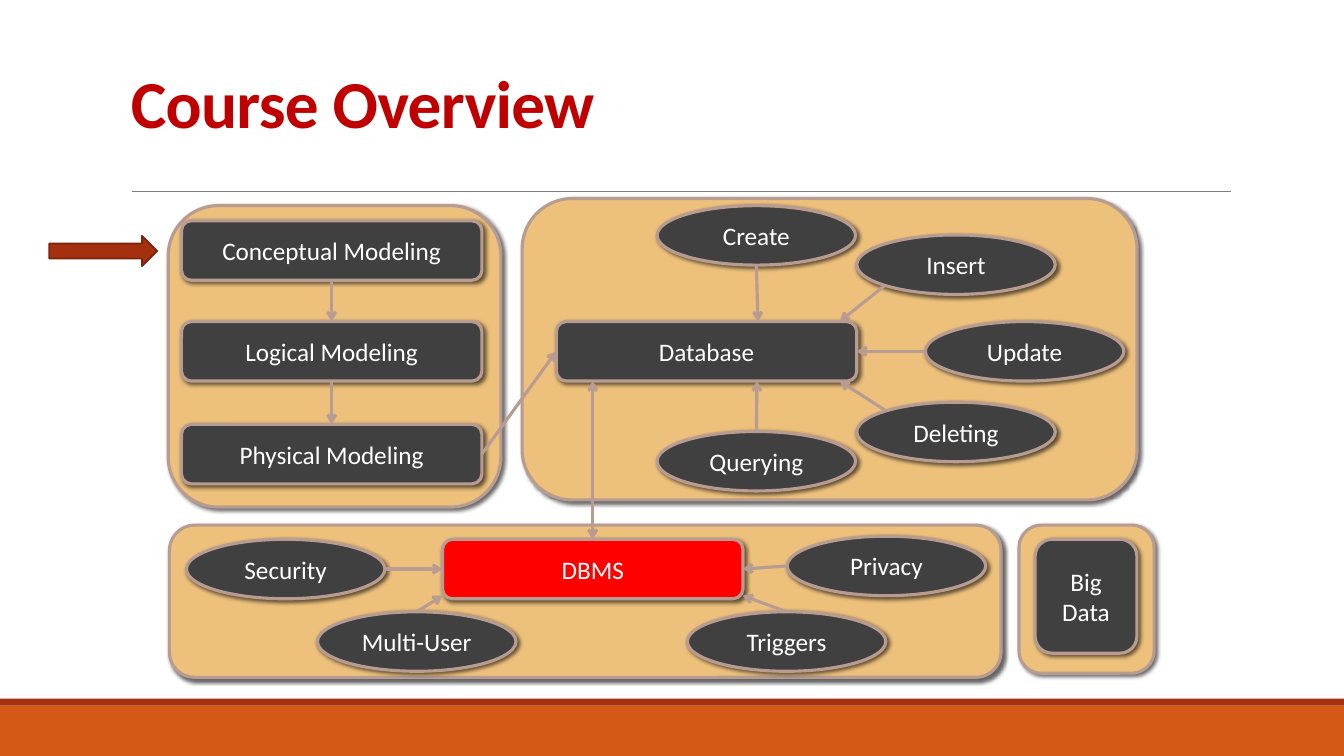
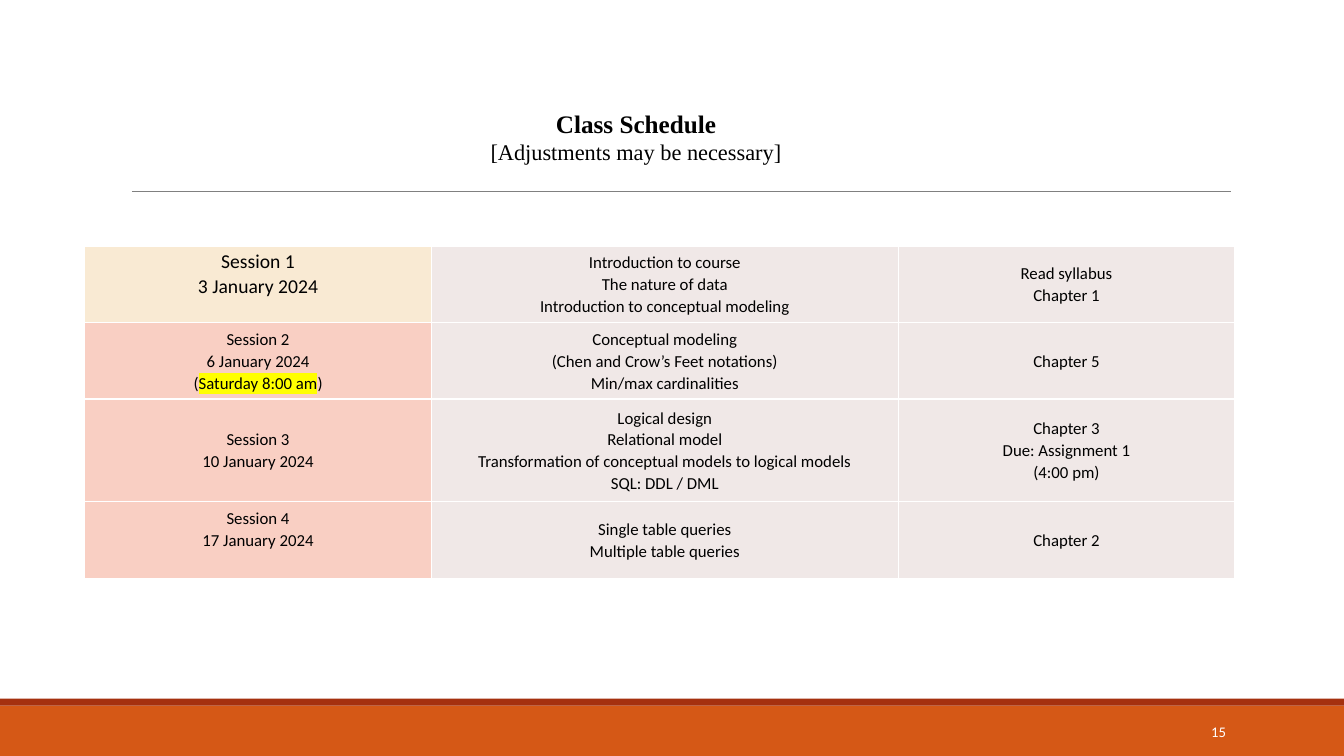
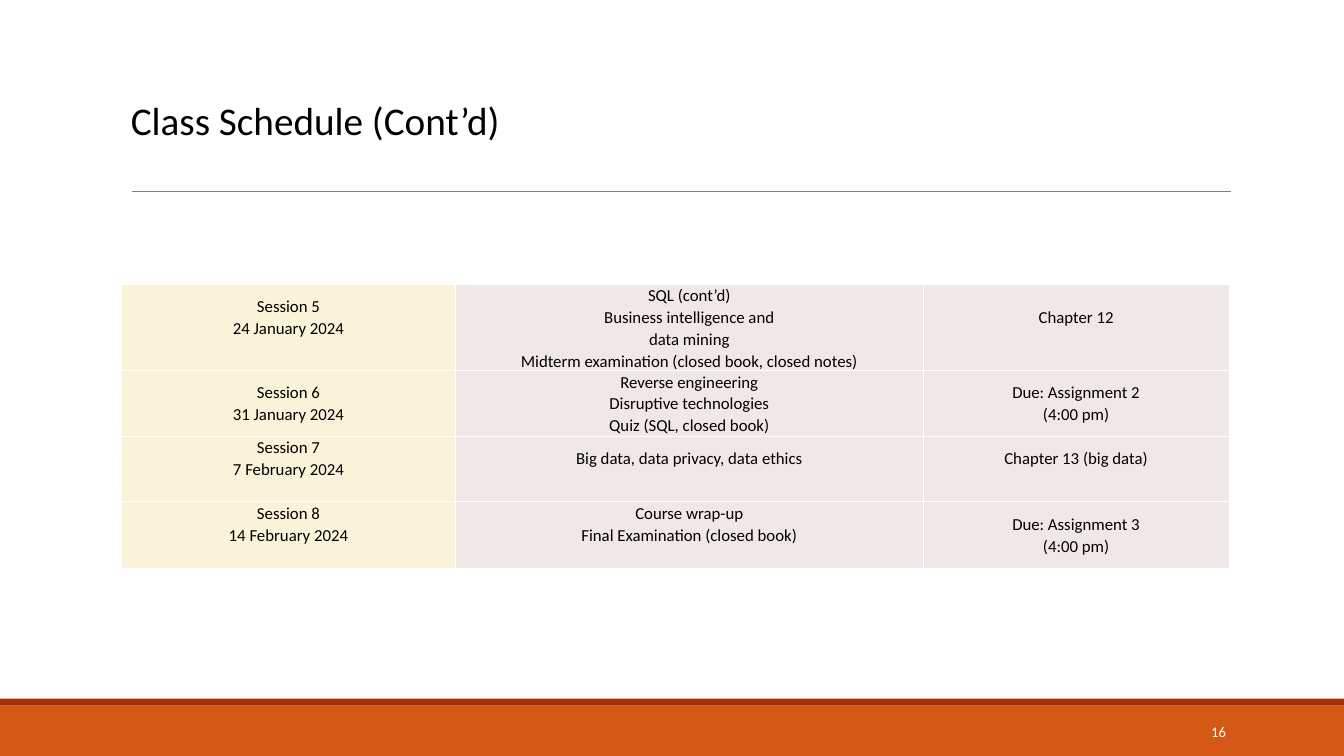
from dataclasses import dataclass
from typing import NamedTuple

from lxml import etree
from pptx import Presentation
from pptx.dml.color import RGBColor
from pptx.enum.shapes import MSO_CONNECTOR, MSO_SHAPE as SHAPE
from pptx.enum.text import MSO_ANCHOR as ANCHOR, PP_ALIGN as ALIGN
from pptx.oxml import parse_xml
from pptx.oxml.ns import nsdecls, qn
from pptx.util import Pt

COLORS = {
    "band": "D55816", "rust": "A5300F", "rust_edge": "7A240B", "rule": "808080",
    "title": "C00000", "panel": "EDC17C", "edge": "B89C91", "node": "404040",
    "focus": "FF0000", "white": "FFFFFF", "black": "000000", "plain": "F0E8E7",
    "cream": "F9EAD3", "salmon": "F9CFC3", "yellow": "FAF3D9", "marker": "FFFF00",
}
SANS, SERIF = "Calibri", "Times New Roman"
TOP, LEFT, BOTTOM, RIGHT = range(4)
BOX_W, OVAL_W, NODE_H = 214.6, 141.8, 42.5
LINE_H = 15.6  # one line of 12 pt table text


class Rect(NamedTuple):
    left: float
    top: float
    width: float
    height: float

    def emu(self):
        return [Pt(v) for v in self]


@dataclass
class Node:
    text: str
    rect: Rect
    kind: SHAPE = SHAPE.ROUNDED_RECTANGLE
    color: str = "node"


class Side(NamedTuple):
    node: str
    site: int


class Point(NamedTuple):
    x: float
    y: float


@dataclass
class Arrow:
    start: Side | Point
    end: Side | Point
    both_ways: bool = False


@dataclass
class Cell:
    text: str
    raised: bool = False
    size: float = 12
    marked: str = ""
    fill: str = "plain"


def box(text: str, left: float, top: float, color: str = "node") -> Node:
    return Node(text, Rect(left, top, BOX_W, NODE_H), color=color)


def oval(text: str, left: float, top: float) -> Node:
    return Node(text, Rect(left, top, OVAL_W, NODE_H), SHAPE.OVAL)


PANELS = [
    Rect(121, 375.1, 594, 108.7), Rect(373, 141.8, 439.2, 215.3),
    Rect(120.2, 146.9, 237.6, 215.3), Rect(727.9, 375.1, 96.5, 105.8),
]
NODES = [
    box("Conceptual Modeling", 129.6, 157.7),
    box("Logical Modeling", 129.6, 229.7),
    box("Physical Modeling", 129.6, 303.1),
    box("DBMS", 316.1, 385.2, "focus"),
    box("Database", 397.4, 229.7),
    oval("Create", 469.4, 146.9),
    oval("Insert", 612, 167.8),
    oval("Update", 661, 229.7),
    oval("Deleting", 612, 287.3),
    oval("Querying", 469.4, 308.2),
    oval("Security", 133.2, 385.2),
    oval("Privacy", 562.3, 383),
    oval("Triggers", 491, 437),
    oval("Multi-User", 226.8, 437),
    Node("Big Data", Rect(739.4, 385.2, 72.7, 81.4)),
]
ARROWS = [
    Arrow(Side("Conceptual Modeling", BOTTOM), Side("Logical Modeling", TOP)),
    Arrow(Side("Logical Modeling", BOTTOM), Side("Physical Modeling", TOP)),
    Arrow(Side("Physical Modeling", RIGHT), Side("Database", LEFT)),
    Arrow(Side("Create", BOTTOM), Point(541.4, 229.7)),
    Arrow(Point(632.2, 203.8), Point(599.8, 229.7)),
    Arrow(Side("Update", LEFT), Side("Database", RIGHT)),
    Arrow(Point(632.2, 293), Point(599.8, 272.2)),
    Arrow(Side("Querying", TOP), Point(540.7, 272.2)),
    Arrow(Side("Security", RIGHT), Side("DBMS", LEFT)),
    Arrow(Side("Multi-User", TOP), Point(316.1, 425.5)),
    Arrow(Side("Triggers", TOP), Point(530.6, 425.5)),
    Arrow(Side("Privacy", LEFT), Side("DBMS", RIGHT)),
    Arrow(Side("DBMS", TOP), Point(423.4, 272.2), both_ways=True),
]

SCHEDULE = [
    [Cell("Session 1\n3 January 2024", True, 14, fill="cream"),
     Cell("Introduction to course\nThe nature of data\nIntroduction to conceptual modeling"),
     Cell("Read syllabus\nChapter 1")],
    [Cell("Session 2\n6 January 2024\n(Saturday 8:00 am)", marked="Saturday 8:00 am", fill="salmon"),
     Cell("Conceptual modeling\n(Chen and Crow’s Feet notations)\nMin/max cardinalities"),
     Cell("Chapter 5")],
    [Cell("Session 3\n10 January 2024", fill="salmon"),
     Cell("Logical design\nRelational model\n"
          "Transformation of conceptual models to logical models\nSQL: DDL / DML"),
     Cell("Chapter 3\nDue: Assignment 1\n(4:00 pm)")],
    [Cell("Session 4\n17 January 2024", True, fill="salmon"),
     Cell("Single table queries\nMultiple table queries"),
     Cell("Chapter 2")],
]
SCHEDULE_CONT = [
    [Cell("Session 5\n24 January 2024", True, fill="yellow"),
     Cell("SQL (cont’d)\nBusiness intelligence and\ndata mining\n"
          "Midterm examination (closed book, closed notes)"),
     Cell("Chapter 12", True)],
    [Cell("Session 6\n31 January 2024", fill="yellow"),
     Cell("Reverse engineering\nDisruptive technologies\nQuiz (SQL, closed book)"),
     Cell("Due: Assignment 2\n(4:00 pm)")],
    [Cell("Session 7\n7 February 2024", True, fill="yellow"),
     Cell("Big data, data privacy, data ethics", True),
     Cell("Chapter 13 (big data)", True)],
    [Cell("Session 8\n14 February 2024", True, fill="yellow"),
     Cell("Course wrap-up\nFinal Examination (closed book)", True),
     Cell("Due: Assignment 3\n(4:00 pm)")],
]


def rgb(name: str) -> RGBColor:
    return RGBColor.from_string(COLORS[name])


def style_run(r, size: float, color: str = "black", font: str = SANS, bold: bool = False):
    r.font.size, r.font.name, r.font.bold = Pt(size), font, bold
    r.font.color.rgb = rgb(color)


def add_shape(s, kind, rect: Rect, fill: str, edge: str = "", weight: float = 0):
    sp = s.shapes.add_shape(kind, *rect.emu())
    sp.shadow.inherit = False
    sp.fill.solid()
    sp.fill.fore_color.rgb = rgb(fill)
    if edge:
        sp.line.color.rgb = rgb(edge)
        sp.line.width = Pt(weight)
    else:
        sp.line.fill.background()
    return sp


def add_raised(s, kind, rect: Rect, fill: str):
    """Draw an outlined shape with a soft shadow to the lower right."""
    sp = add_shape(s, kind, rect, fill, "edge", 2.25)
    effects = sp.element.spPr.find(qn("a:effectLst"))
    effects.append(parse_xml(
        f'<a:outerShdw {nsdecls("a")} blurRad="{Pt(3)}" dist="{Pt(2)}" dir="2700000" '
        f'algn="tl" rotWithShape="0"><a:srgbClr val="{COLORS["black"]}">'
        '<a:alpha val="60000"/></a:srgbClr></a:outerShdw>'))
    return sp


def add_node(s, node: Node):
    sp = add_raised(s, node.kind, node.rect, node.color)
    tf = sp.text_frame
    tf.text = node.text
    tf.word_wrap = True
    tf.vertical_anchor = ANCHOR.MIDDLE
    p = tf.paragraphs[0]
    p.alignment = ALIGN.CENTER
    style_run(p.runs[0], 18, "white")
    return sp


def add_line(s, start: Point, end: Point, color: str, weight: float):
    line = s.shapes.add_connector(
        MSO_CONNECTOR.STRAIGHT, Pt(start.x), Pt(start.y), Pt(end.x), Pt(end.y))
    line.line.color.rgb = rgb(color)
    line.line.width = Pt(weight)
    etree.SubElement(line.element.spPr, qn("a:effectLst"))
    return line


def locate(end: Side | Point, nodes: dict[str, Node]) -> Point:
    """Resolve a side of a node to its midpoint."""
    if isinstance(end, Point):
        return end
    left, top, width, height = nodes[end.node].rect
    dx, dy = [(0.5, 0), (0, 0.5), (0.5, 1), (1, 0.5)][end.site]
    return Point(left + dx * width, top + dy * height)


def add_arrow(s, arrow: Arrow, nodes: dict[str, Node], drawn: dict):
    line = add_line(s, locate(arrow.start, nodes), locate(arrow.end, nodes), "edge", 2.25)
    for end, connect in ((arrow.start, line.begin_connect), (arrow.end, line.end_connect)):
        if isinstance(end, Side) and nodes[end.node].kind != SHAPE.OVAL:
            connect(drawn[end.node], end.site)
    ln = line.line._get_or_add_ln()
    for tag in ["a:headEnd"] * arrow.both_ways + ["a:tailEnd"]:
        etree.SubElement(ln, qn(tag), type="arrow")


def add_text(s, text: str, rect: Rect, size: float, color: str = "black", font: str = SANS,
             bold: bool = False, align=ALIGN.LEFT, anchor=ANCHOR.TOP):
    tf = s.shapes.add_textbox(*rect.emu()).text_frame
    tf.text = text
    tf.word_wrap = True
    tf.vertical_anchor = anchor
    for p in tf.paragraphs:
        p.alignment = align
        style_run(p.runs[0], size, color, font, bold)
    return tf


def fill_cell(cell, content: Cell):
    cell.fill.solid()
    cell.fill.fore_color.rgb = rgb(content.fill)
    cell.vertical_anchor = ANCHOR.MIDDLE
    cell.margin_left = cell.margin_right = Pt(5)
    cell.margin_top = 0
    cell.margin_bottom = Pt(LINE_H if content.raised else 0)
    tf = cell.text_frame
    tf.text = content.text
    for p in tf.paragraphs:
        p.alignment = ALIGN.CENTER
        p.line_spacing = 1.07
        if content.marked and content.marked in p.text:
            parts = p.text.partition(content.marked)
            p.text = parts[0]
            for part in parts[1:]:
                p.add_run().text = part
        for r in p.runs:
            style_run(r, content.size)
            if r.text == content.marked:
                r.font._element.find(qn("a:solidFill")).addnext(parse_xml(
                    f'<a:highlight {nsdecls("a")}><a:srgbClr val="{COLORS["marker"]}"/>'
                    '</a:highlight>'))
    tc_pr = cell._tc.get_or_add_tcPr()
    for i, side in enumerate(("lnL", "lnR", "lnT", "lnB")):
        tc_pr.insert(i, parse_xml(
            f'<a:{side} {nsdecls("a")} w="{Pt(1)}"><a:solidFill>'
            f'<a:srgbClr val="{COLORS["white"]}"/></a:solidFill></a:{side}>'))


def add_schedule(s, left: float, top: float, widths: list[float], heights: list[float],
                 rows: list[list[Cell]]):
    rect = Rect(left, top, sum(widths), sum(heights))
    table = s.shapes.add_table(len(heights), len(widths), *rect.emu()).table
    table.first_row = table.horz_banding = False
    for column, width in zip(table.columns, widths):
        column.width = Pt(width)
    for row, height, contents in zip(table.rows, heights, rows):
        row.height = Pt(height)
        for cell, content in zip(row.cells, contents):
            fill_cell(cell, content)


def new_slide(prs, number: str = ""):
    """Add a slide with the bottom bands, the title rule and a page number."""
    s = prs.slides.add_slide(prs.slide_layouts[6])
    add_shape(s, SHAPE.RECTANGLE, Rect(0, 504, 960, 36), "band")
    add_shape(s, SHAPE.RECTANGLE, Rect(0, 499, 960, 5), "rust")
    add_line(s, Point(94.3, 136.8), Point(879, 136.8), "rule", 0.5)
    if number:
        add_text(s, number, Rect(779.8, 508.3, 103, 28.8), 10.5, "white",
                 align=ALIGN.RIGHT, anchor=ANCHOR.MIDDLE)
    return s


def build_overview(prs):
    s = new_slide(prs)
    for panel in PANELS:
        add_raised(s, SHAPE.ROUNDED_RECTANGLE, panel, "panel")
    tf = add_text(s, "Course Overview", Rect(86.4, 22.3, 792, 82.8), 48, "title",
                  bold=True, anchor=ANCHOR.BOTTOM)
    p = tf.paragraphs[0]
    p.line_spacing = 0.85
    p.runs[0].font._element.set("spc", "-50")
    nodes = {node.text: node for node in NODES}
    drawn = {node.text: add_node(s, node) for node in NODES}
    for arrow in ARROWS:
        add_arrow(s, arrow, nodes, drawn)
    add_shape(s, SHAPE.RIGHT_ARROW, Rect(35.3, 168.5, 77, 21.6), "rust", "rust_edge", 1.25)


def build_schedule(prs):
    s = new_slide(prs, "15")
    add_schedule(s, 60.5, 175.7, [247.7, 333.4, 240.5], [54.7, 54.7, 73.4, 54.7], SCHEDULE)
    tf = add_text(s, "Class Schedule\n[Adjustments may be necessary]",
                  Rect(282.2, 77, 344.2, 41), 16, font=SERIF,
                  align=ALIGN.CENTER, anchor=ANCHOR.MIDDLE)
    tf.margin_left = tf.margin_right = tf.margin_top = tf.margin_bottom = 0
    style_run(tf.paragraphs[0].runs[0], 18, font=SERIF, bold=True)


def build_schedule_cont(prs):
    s = new_slide(prs, "16")
    add_text(s, "Class Schedule (Cont’d)", Rect(86.4, 65.5, 354.2, 41), 28)
    add_schedule(s, 86.8, 203.2, [238.6, 334, 218.6], [61.2, 46.8, 46.8, 47.8], SCHEDULE_CONT)


def main():
    prs = Presentation()
    prs.slide_width, prs.slide_height = Pt(960), Pt(540)
    build_overview(prs)
    build_schedule(prs)
    build_schedule_cont(prs)
    prs.save("out.pptx")


if __name__ == "__main__":
    main()
